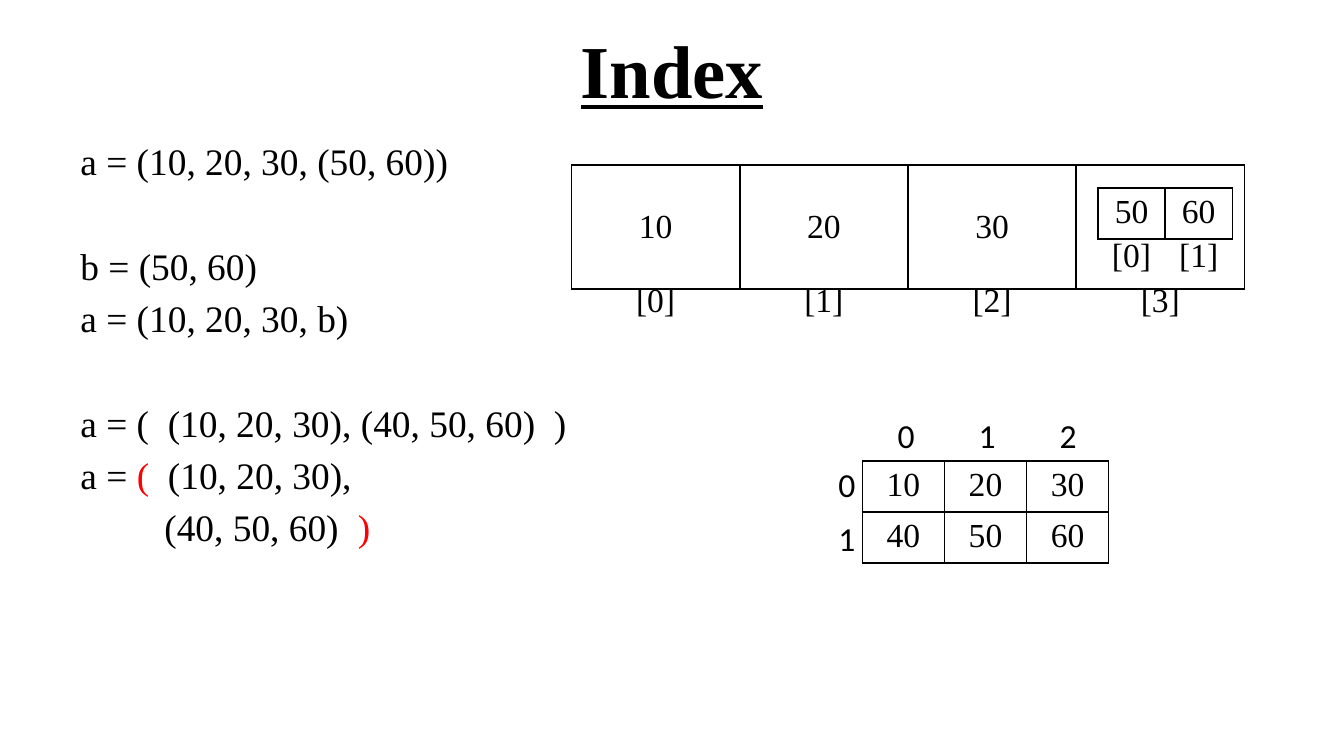
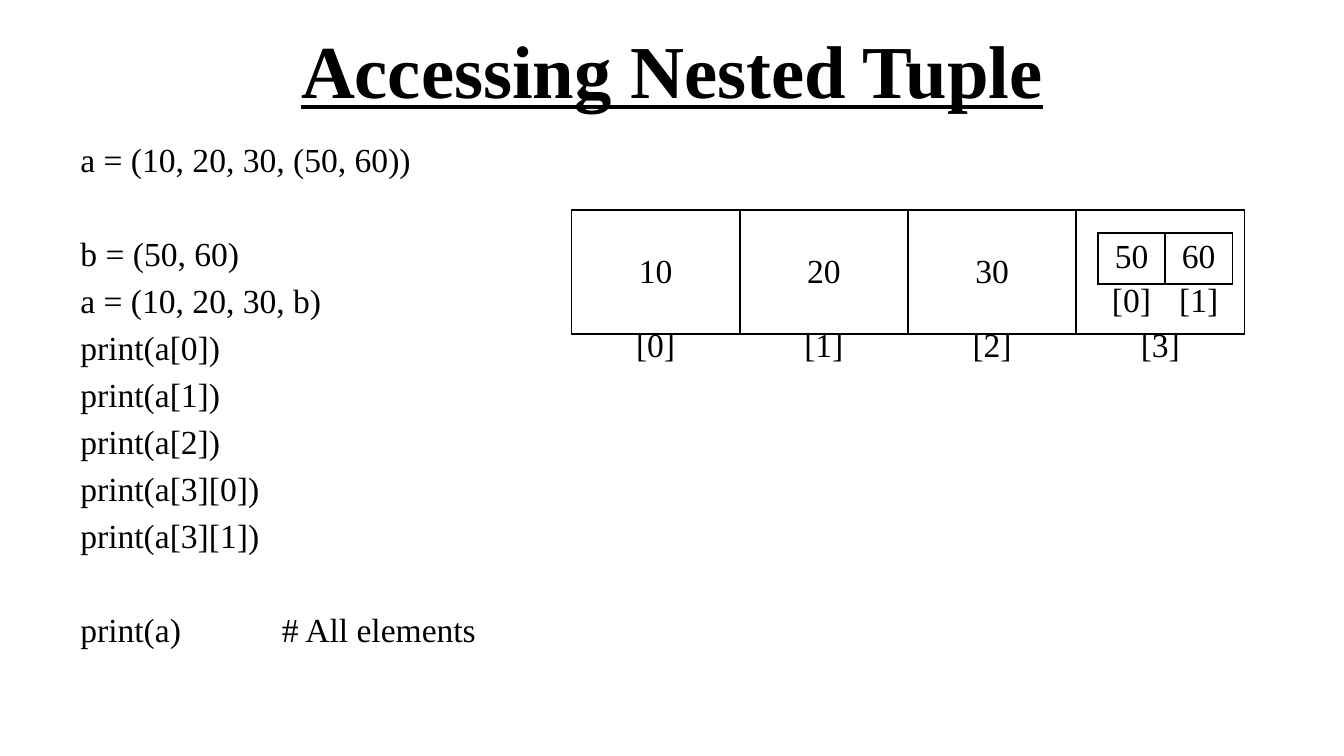
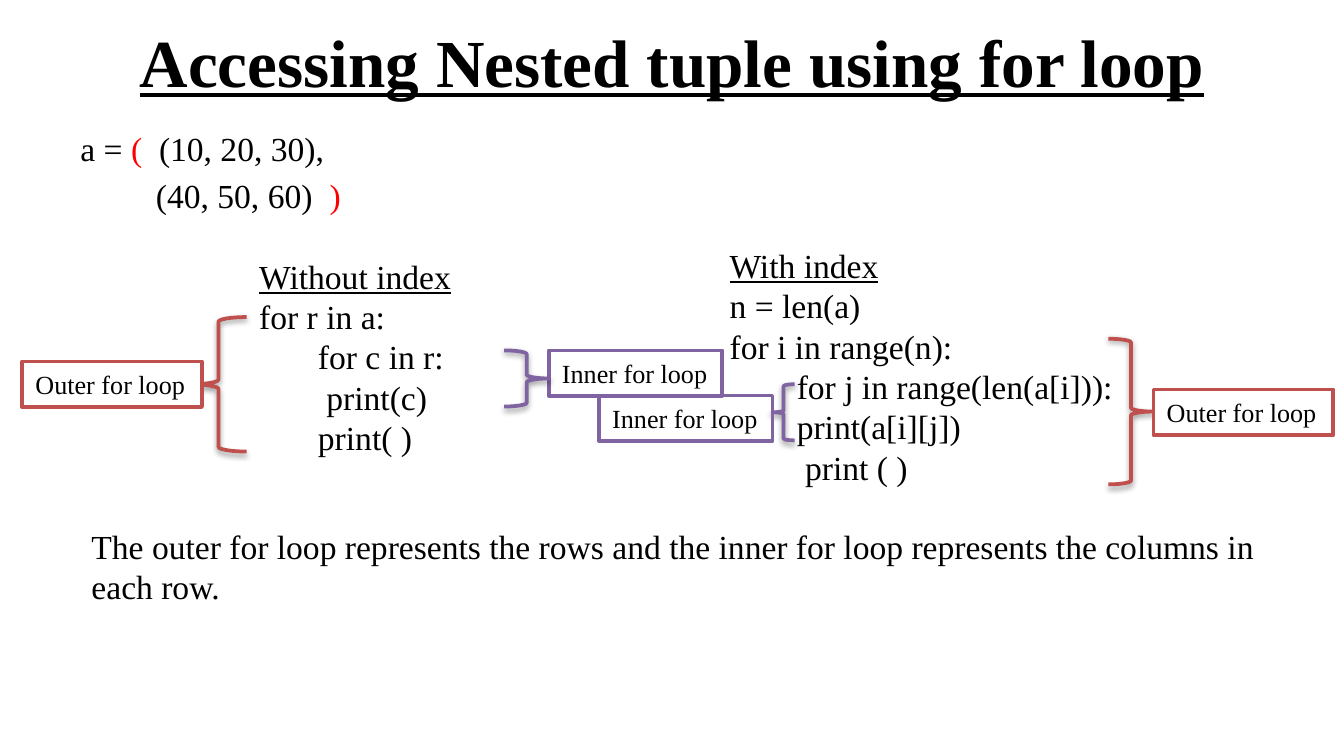
from lxml.etree import SubElement
from pptx import Presentation
from pptx.dml.color import RGBColor
from pptx.enum.shapes import MSO_SHAPE
from pptx.enum.text import MSO_ANCHOR, PP_ALIGN
from pptx.oxml.ns import qn
from pptx.util import Cm, Pt

BLACK = RGBColor(0, 0, 0)
WHITE = RGBColor(255, 255, 255)
RED = RGBColor(255, 0, 0)
OUTER = RGBColor(0xC0, 0x50, 0x4D)
INNER = RGBColor(0x80, 0x64, 0xA2)

SERIF = "Times New Roman"
SANS = "Calibri"
TITLE = {"bold": True, "underline": True}
HEADING = {"underline": True}
INDEXES = ["[0]", "[1]", "[2]", "[3]"]

NESTED = [["a = (10, 20, 30, (50, 60))"]]
NAMED = [["b = (50, 60)"], ["a = (10, 20, 30, b)"]]
LAST_ROW = ["         (40, 50, 60)  ", (")", RED)]


class Deck:
    def __init__(self):
        self.presentation = Presentation()
        self.presentation.slide_width = Cm(25.4)
        self.presentation.slide_height = Cm(14.28)
        self.slide = None

    def new_slide(self, title, size=40, top=0.1):
        layout = self.presentation.slide_layouts[6]
        self.slide = self.presentation.slides.add_slide(layout)
        frame = self.text_frame(1.27, top, 22.86, 2.39)
        frame.vertical_anchor = MSO_ANCHOR.MIDDLE
        heading = frame.paragraphs[0]
        heading.alignment = PP_ALIGN.CENTER
        self.add_runs(heading, [title], size, **TITLE)

    def text_frame(self, left, top, width, height):
        box = self.slide.shapes.add_textbox(Cm(left), Cm(top), Cm(width), Cm(height))
        box.text_frame.word_wrap = True
        return box.text_frame

    def add_runs(self, paragraph, pieces, size, name=SERIF, **style):
        for piece in pieces:
            text, color = (piece, BLACK) if isinstance(piece, str) else piece
            run = paragraph.add_run()
            run.text = text
            for key, value in {"name": name, "size": Pt(size), **style}.items():
                setattr(run.font, key, value)
            run.font.color.rgb = color

    def body(self, groups, size, top=2.49, width=22.86, height=10.59):
        frame = self.text_frame(1.27, top, width, height)
        for group_number, group in enumerate(groups):
            for line_number, pieces in enumerate(group):
                first = group_number == line_number == 0
                paragraph = frame.paragraphs[0] if first else frame.add_paragraph()
                if not first:
                    paragraph.space_before = Pt(size * (0.2 if line_number else 1.6))
                self.add_runs(paragraph, pieces, size)

    def listing(self, left, top, width, height, heading, lines):
        frame = self.text_frame(left, top, width, height)
        self.add_runs(frame.paragraphs[0], [heading], 18, **HEADING)
        for line in lines:
            self.add_runs(frame.add_paragraph(), [line], 18)

    def grid(self, left, top, column, row, rows, bordered=False, name=SERIF, inset=0.1):
        columns = len(rows[0])
        table = self.slide.shapes.add_table(
            len(rows), columns, Cm(left), Cm(top),
            Cm(column * columns), Cm(row * len(rows))).table
        table.first_row = table.horz_banding = False
        margins = {"margin_left": 0.15, "margin_right": 0.15,
                   "margin_top": inset, "margin_bottom": 0.1}
        for row_number, values in enumerate(rows):
            for column_number, value in enumerate(values):
                cell = table.cell(row_number, column_number)
                for key, margin in margins.items():
                    setattr(cell, key, Cm(margin))
                self.borders(cell, bordered)
                cell.fill.background()
                if value:
                    paragraph = cell.text_frame.paragraphs[0]
                    paragraph.alignment = PP_ALIGN.CENTER
                    self.add_runs(paragraph, [value], 18, name)

    def borders(self, cell, visible):
        properties = cell._tc.get_or_add_tcPr()
        for side in ("a:lnL", "a:lnR", "a:lnT", "a:lnB"):
            line = SubElement(properties, qn(side), w=str(Pt(1)))
            if visible:
                fill = SubElement(line, qn("a:solidFill"))
                SubElement(fill, qn("a:srgbClr"), val=str(BLACK))
            else:
                SubElement(line, qn("a:noFill"))

    def nested_tuple(self, top):
        self.grid(10.8, top, 3.18, 2.34, [["10", "20", "30", ""]], True, inset=0.81)
        self.grid(20.75, top + 0.43, 1.27, 0.95, [["50", "60"]], True)
        self.grid(10.8, top + 2.12, 3.18, 1.07, [INDEXES])
        self.grid(20.75, top + 1.27, 1.27, 0.95, [INDEXES[:2]])

    def outline(self, kind, left, top, width, height, color):
        shape = self.slide.shapes.add_shape(
            kind, Cm(left), Cm(top), Cm(width), Cm(height))
        shape.shadow.inherit = False
        shape.fill.background()
        shape.line.color.rgb = color
        shape.line.width = Pt(2)
        return shape

    def brace(self, kind, left, top, width, height, color):
        shape = self.outline(kind, left, top, width, height, color)
        effects = shape._element.spPr.find(qn("a:effectLst"))
        shadow = SubElement(effects, qn("a:outerShdw"), blurRad="40000",
                            dist="20000", dir="5400000", rotWithShape="0")
        tint = SubElement(shadow, qn("a:srgbClr"), val=str(BLACK))
        SubElement(tint, qn("a:alpha"), val="38000")

    def label(self, text, left, top, width, color, filled=True):
        shape = self.outline(MSO_SHAPE.RECTANGLE, left, top, width, 0.86, color)
        if filled:
            shape.fill.solid()
            shape.fill.fore_color.rgb = WHITE
        shape.text_frame.word_wrap = False
        paragraph = shape.text_frame.paragraphs[0]
        paragraph.alignment = PP_ALIGN.LEFT
        self.add_runs(paragraph, [text], 14)


def index_slide(deck):
    deck.new_slide("Index")
    matrix = [
        ["a = (  (10, 20, 30), (40, 50, 60)  )"],
        ["a = ", ("(", RED), "  (10, 20, 30),"],
        LAST_ROW,
    ]
    deck.body([NESTED, NAMED, matrix], 20)
    deck.nested_tuple(3.12)
    deck.grid(16.3, 8.71, 1.55, 0.95, [["10", "20", "30"], ["40", "50", "60"]], True)
    deck.grid(15.09, 8.69, 1.83, 1.03, [["0"], ["1"]], name=SANS)
    deck.grid(16.36, 7.77, 1.53, 1.03, [["0", "1", "2"]], name=SANS)


def access_slide(deck):
    deck.new_slide("Accessing Nested Tuple")
    targets = ["a[0]", "a[1]", "a[2]", "a[3][0]", "a[3][1]"]
    prints = [[f"print({target})"] for target in targets]
    deck.body([NESTED, NAMED + prints, [["print(a)\t\t# All elements"]]], 18)
    deck.nested_tuple(3.97)


def loop_slide(deck):
    deck.new_slide("Accessing Nested tuple using for loop", 36, -0.05)
    matrix = [["a = ", ("(  ", RED), "(10, 20, 30),"], LAST_ROW]
    deck.body([matrix], 18, 2.29, 18.85, 3.18)
    deck.listing(13.54, 4.5, 9.32, 4.88, "With index", [
        "n = len(a)",
        "for i in range(n):",
        "        for j in range(len(a[i])):",
        "\tprint(a[i][j])",
        "         print ( )",
    ])
    deck.listing(4.65, 4.7, 6.55, 4.11, "Without index", [
        "for r in a:",
        "       for c in r:",
        "\tprint(c)",
        "       print( )",
    ])
    deck.brace(MSO_SHAPE.LEFT_BRACE, 3.6, 5.99, 1.06, 2.54, OUTER)
    deck.label("Outer for loop", 0.42, 6.83, 3.4, OUTER)
    deck.brace(MSO_SHAPE.RIGHT_BRACE, 20.95, 6.4, 0.85, 2.75, OUTER)
    deck.label("Outer for loop", 21.8, 7.36, 3.4, OUTER)
    deck.label("Inner for loop", 10.37, 6.62, 3.28, INNER)
    deck.brace(MSO_SHAPE.RIGHT_BRACE, 9.53, 6.62, 0.85, 1.06, INNER)
    deck.brace(MSO_SHAPE.LEFT_BRACE, 14.6, 7.26, 0.42, 1.06, INNER)
    deck.label("Inner for loop", 11.32, 7.47, 3.28, INNER, filled=False)
    summary = deck.text_frame(1.48, 9.8, 23.09, 1.8)
    deck.add_runs(summary.paragraphs[0], [
        "The outer for loop represents the rows and the inner for loop "
        "represents the columns in each row."], 18)


def main():
    deck = Deck()
    for build in (index_slide, access_slide, loop_slide):
        build(deck)
    deck.presentation.save("out.pptx")


if __name__ == "__main__":
    main()
